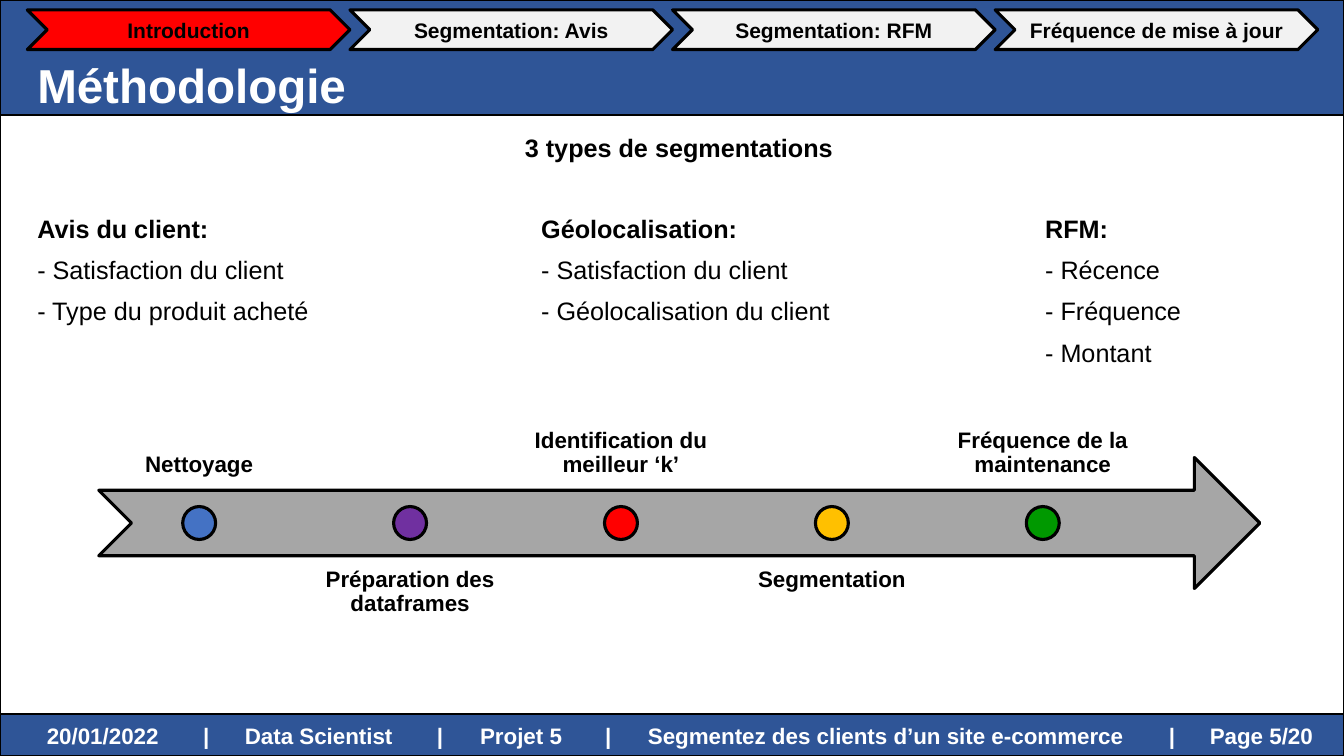
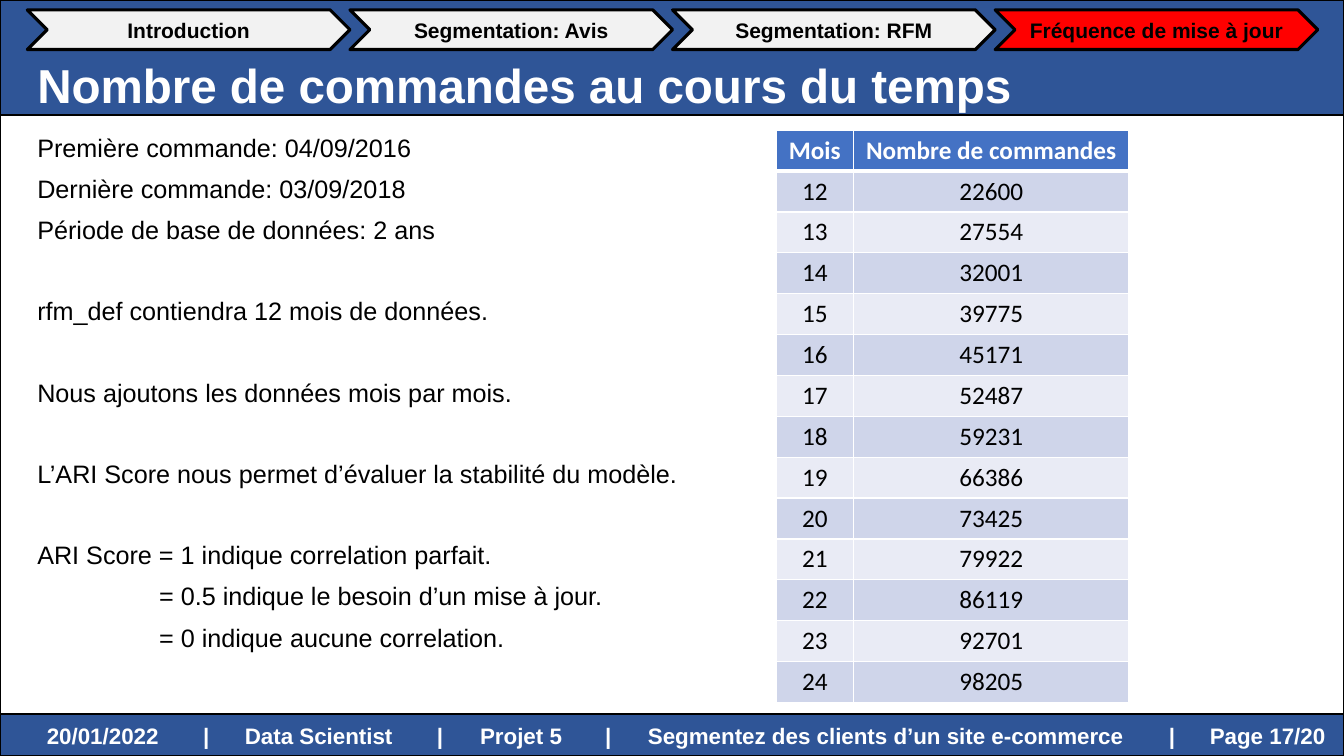
"""Build two slides on customer segmentation with shared navigation and footer."""
from dataclasses import dataclass
from typing import NamedTuple, Sequence

from lxml import etree
from pptx import Presentation
from pptx import slide as sl
from pptx import util as u
from pptx.dml import color
from pptx.enum import shapes, text
from pptx.oxml import ns
from pptx.shapes import autoshape

SHAPE = shapes.MSO_SHAPE
ALIGN = text.PP_ALIGN
ANCHOR = text.MSO_ANCHOR


@dataclass(frozen=True)
class Theme:
    font: str = "Arial"
    table_font: str = "Calibri"
    band: str = "2F5597"
    white: str = "FFFFFF"
    black: str = "000000"
    tab: str = "F2F2F2"
    active: str = "FF0000"
    arrow: str = "A6A6A6"
    header: str = "4472C4"
    odd_row: str = "CFD5EA"
    even_row: str = "E9EBF5"
    title_size: float = 34
    body_size: float = 18
    label_size: float = 16
    tab_size: float = 15
    band_line: float = 1.5
    shape_line: float = 2.25


class Box(NamedTuple):
    x: float
    y: float
    w: float
    h: float

    def emu(self) -> list[int]:
        return [u.Cm(v) for v in self]


@dataclass(frozen=True)
class Line:
    text: str
    bold: bool = False
    gap: bool = False
    indent: float = 0


@dataclass(frozen=True)
class Step:
    label: str
    fill: str


T = Theme()
WIDTH, HEIGHT = 33.87, 19.05
HEADER_H, FOOTER_Y = 2.9, 18.0
BODY_X, BODY_Y = 0.69, 3.28
PARA_GAP, BLANK_GAP = 10, 38.6
SECTIONS = ("Introduction", "Segmentation: Avis", "Segmentation: RFM",
            "Fréquence de mise à jour")
FOOTER = ("20/01/2022", "Data Scientist", "Projet 5",
          "Segmentez des clients d’un site e-commerce")
FOOTER_TABS = (3.94, 4.99, 9.83, 10.92, 14.07, 15.15, 28.28)
PAGES = 20

COLUMNS = (
    ("Avis du client:", "- Satisfaction du client", "- Type du produit acheté"),
    ("Géolocalisation:", "- Satisfaction du client", "- Géolocalisation du client"),
    ("RFM:", "- Récence", "- Fréquence", "- Montant"),
)
STEPS = (
    Step("Nettoyage", "4472C4"),
    Step("Préparation des dataframes", "7030A0"),
    Step("Identification du meilleur ‘k’", "FF0000"),
    Step("Segmentation", "FFC000"),
    Step("Fréquence de la maintenance", "009900"),
)
NOTES = (
    Line("Première commande: 04/09/2016"),
    Line("Dernière commande: 03/09/2018"),
    Line("Période de base de données: 2 ans"),
    Line("rfm_def contiendra 12 mois de données.", gap=True),
    Line("Nous ajoutons les données mois par mois.", gap=True),
    Line("L’ARI Score nous permet d’évaluer la stabilité du modèle.", gap=True),
    Line("ARI Score = 1 indique correlation parfait.", gap=True),
    Line("= 0.5 indique le besoin d’un mise à jour.", indent=3.07),
    Line("= 0 indique aucune correlation.", indent=3.07),
)
FIRST_MONTH = 12
ORDERS = (22600, 27554, 32001, 39775, 45171, 52487, 59231, 66386, 73425,
          79922, 86119, 92701, 98205)


def rgb(value: str) -> color.RGBColor:
    return color.RGBColor.from_string(value)


def write(tf, lines: Sequence[Line], *, size: float = T.body_size, ink: str = T.black,
          font: str = T.font, align=ALIGN.LEFT, anchor=ANCHOR.TOP,
          inset: tuple[float, float] = (0.25, 0.13), spacing: float = 1.0) -> None:
    tf.word_wrap = True
    tf.vertical_anchor = anchor
    tf.margin_left = tf.margin_right = u.Cm(inset[0])
    tf.margin_top = tf.margin_bottom = u.Cm(inset[1])
    for i, line in enumerate(lines):
        p = tf.add_paragraph() if i else tf.paragraphs[0]
        p.alignment = align
        p.line_spacing = spacing
        if i:
            p.space_before = u.Pt(BLANK_GAP if line.gap else PARA_GAP)
        if line.indent:
            p._p.get_or_add_pPr().set("marL", str(u.Cm(line.indent)))
        r = p.add_run()
        r.text = line.text
        r.font.name, r.font.size, r.font.bold = font, u.Pt(size), line.bold
        r.font.color.rgb = rgb(ink)


def add_text(s: sl.Slide, box: Box, lines: Sequence[Line], **fmt) -> autoshape.Shape:
    sp = s.shapes.add_textbox(*box.emu())
    write(sp.text_frame, lines, **fmt)
    return sp


def add_shape(s: sl.Slide, kind: SHAPE, box: Box, fill: str,
              line: float = T.shape_line) -> autoshape.Shape:
    sp = s.shapes.add_shape(kind, *box.emu())
    sp.shadow.inherit = False
    sp.fill.solid()
    sp.fill.fore_color.rgb = rgb(fill)
    sp.line.color.rgb = rgb(T.black)
    sp.line.width = u.Pt(line)
    return sp


def add_footer(s: sl.Slide, page: int) -> None:
    fmt = dict(size=T.label_size, ink=T.white, anchor=ANCHOR.MIDDLE, inset=(0, 0))
    h = HEIGHT - FOOTER_Y
    sp = add_text(s, Box(1.18, FOOTER_Y, 29.2, h),
                  [Line("\t|\t".join(FOOTER) + "\t|", bold=True)], **fmt)
    pPr = sp.text_frame.paragraphs[0]._p.get_or_add_pPr()
    tabs = etree.SubElement(pPr, ns.qn("a:tabLst"))
    for pos in FOOTER_TABS:
        etree.SubElement(tabs, ns.qn("a:tab"), pos=str(u.Cm(pos)), algn="l")
    add_text(s, Box(30.49, FOOTER_Y, 3.3, h),
             [Line(f"Page {page}/{PAGES}", bold=True)], **fmt)


def add_base(prs, title: str, section: int, page: int) -> sl.Slide:
    s = prs.slides.add_slide(prs.slide_layouts[6])
    edges = (0, HEADER_H, FOOTER_Y, HEIGHT)
    for top, bottom, fill in zip(edges, edges[1:], (T.band, T.white, T.band)):
        add_shape(s, SHAPE.RECTANGLE, Box(0, top, WIDTH, bottom - top), fill, T.band_line)
    add_text(s, Box(BODY_X, 0.93, 29.21, 2.41), [Line(title, bold=True)],
             size=T.title_size, ink=T.white, anchor=ANCHOR.MIDDLE)
    step = 8.13
    for i, name in enumerate(SECTIONS):
        sp = add_shape(s, SHAPE.CHEVRON, Box(BODY_X + i * step, 0.25, step, 1),
                       T.active if i == section else T.tab)
        write(sp.text_frame, [Line(name, bold=True)], size=T.tab_size,
              align=ALIGN.CENTER, anchor=ANCHOR.MIDDLE, inset=(0, 0))
    add_footer(s, page)
    return s


def add_timeline(s: sl.Slide) -> None:
    axis, first, pitch, dot = 13.18, 5.02, 5.315, 0.83
    label_w, label_h = 5.05, 3.3
    add_shape(s, SHAPE.NOTCHED_RIGHT_ARROW, Box(2.49, axis - 1.65, 29.26, 3.3), T.arrow)
    for i, step in enumerate(STEPS):
        x = first + i * pitch
        above = i % 2 == 0
        y = axis - 0.84 - label_h if above else axis + 0.84
        add_text(s, Box(x - label_w / 2, y, label_w, label_h),
                 [Line(step.label, bold=True)], size=T.label_size, align=ALIGN.CENTER,
                 anchor=ANCHOR.BOTTOM if above else ANCHOR.TOP,
                 inset=(0.3, 0.3), spacing=0.9)
        add_shape(s, SHAPE.OVAL, Box(x - dot / 2, axis - dot / 2, dot, dot), step.fill)


def set_borders(cell, bottom: float) -> None:
    tcPr = cell._tc.get_or_add_tcPr()
    for side, width in (("L", 1), ("R", 1), ("T", 1), ("B", bottom)):
        ln = etree.SubElement(tcPr, ns.qn(f"a:ln{side}"), w=str(u.Pt(width)))
        fill = etree.SubElement(ln, ns.qn("a:solidFill"))
        etree.SubElement(fill, ns.qn("a:srgbClr"), val=T.white)


def add_orders_table(s: sl.Slide) -> None:
    rows = [("Mois", "Nombre de commandes")]
    rows += [(str(m), str(n)) for m, n in enumerate(ORDERS, FIRST_MONTH)]
    widths, row_h = (1.95, 6.94), 1.03
    box = Box(19.56, BODY_Y, sum(widths), row_h * len(rows))
    table = s.shapes.add_table(len(rows), len(widths), *box.emu()).table
    for col, w in zip(table.columns, widths):
        col.width = u.Cm(w)
    for i, values in enumerate(rows):
        table.rows[i].height = u.Cm(row_h)
        head = i == 0
        fill = T.header if head else T.odd_row if i % 2 else T.even_row
        for j, value in enumerate(values):
            cell = table.cell(i, j)
            set_borders(cell, 3 if head else 1)
            cell.fill.solid()
            cell.fill.fore_color.rgb = rgb(fill)
            write(cell.text_frame, [Line(value, bold=head)], font=T.table_font,
                  ink=T.white if head else T.black, align=ALIGN.CENTER)


def add_method_slide(prs) -> None:
    s = add_base(prs, "Méthodologie", 0, 5)
    add_text(s, Box(BODY_X, BODY_Y, 32.84, 1), [Line("3 types de segmentations", bold=True)],
             align=ALIGN.CENTER, spacing=0.9)
    for i, items in enumerate(COLUMNS):
        lines = [Line(item, bold=k == 0) for k, item in enumerate(items)]
        add_text(s, Box(BODY_X + i * 12.7, 5.33, 8, 4.3), lines, spacing=0.9)
    add_timeline(s)


def add_orders_slide(prs) -> None:
    s = add_base(prs, "Nombre de commandes au cours du temps", 3, 17)
    add_text(s, Box(BODY_X, BODY_Y, 18.5, 14), NOTES, spacing=0.9)
    add_orders_table(s)


def main() -> None:
    prs = Presentation()
    prs.slide_width, prs.slide_height = u.Cm(WIDTH), u.Cm(HEIGHT)
    add_method_slide(prs)
    add_orders_slide(prs)
    prs.save("out.pptx")


if __name__ == "__main__":
    main()
